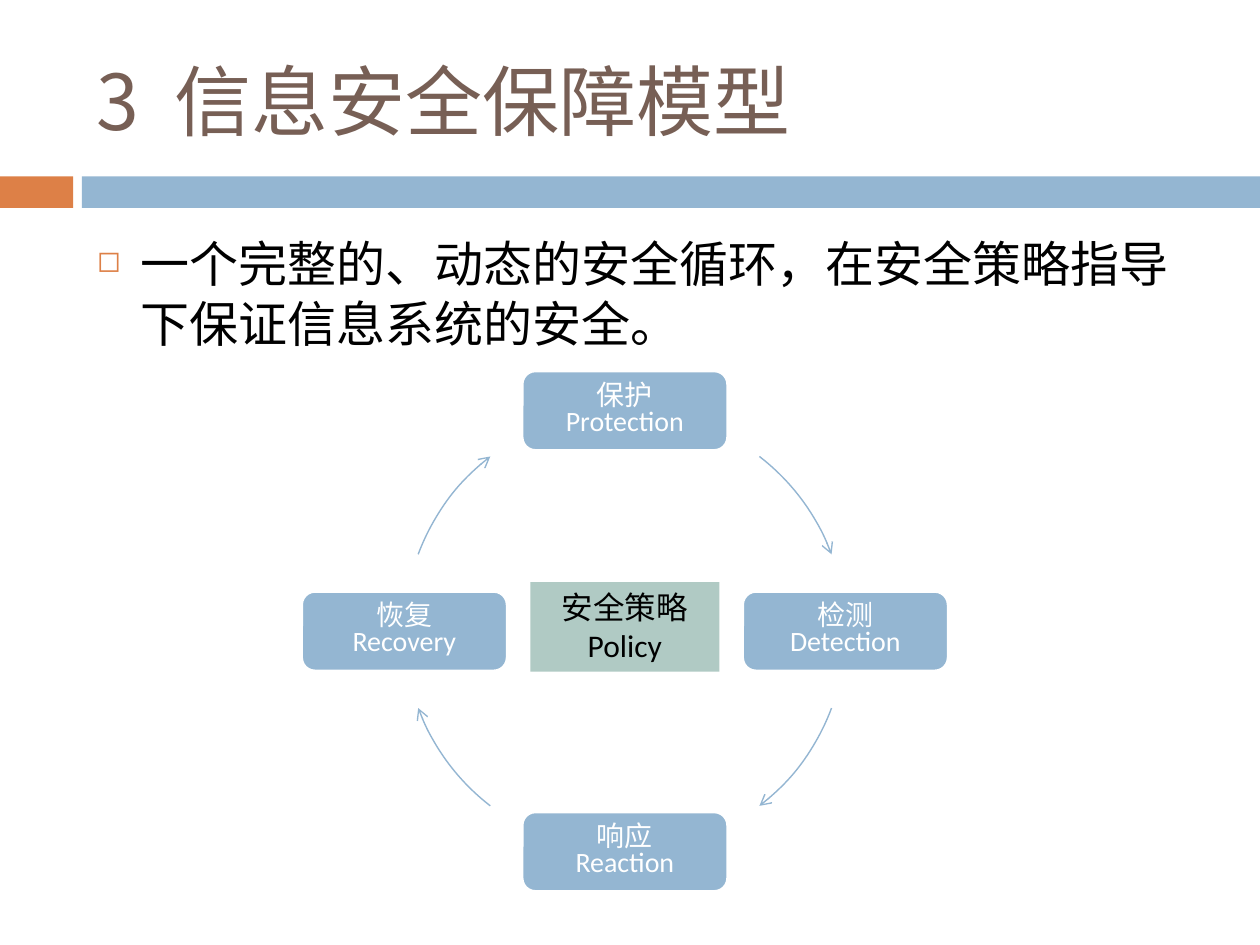
"""Builds the slide on the information security assurance cycle."""
from dataclasses import dataclass
from math import cos, radians, sin

from lxml import etree
from pptx import Presentation
from pptx.dml.color import RGBColor
from pptx.enum.shapes import MSO_SHAPE
from pptx.enum.text import MSO_ANCHOR, PP_ALIGN
from pptx.oxml.ns import qn
from pptx.util import Inches, Pt

RECT, ROUNDED, ARC = MSO_SHAPE.RECTANGLE, MSO_SHAPE.ROUNDED_RECTANGLE, MSO_SHAPE.ARC
LEFT, CENTER = PP_ALIGN.LEFT, PP_ALIGN.CENTER
TOP, MIDDLE = MSO_ANCHOR.TOP, MSO_ANCHOR.MIDDLE
COLUMNS, ROWS, UNIT = 40, 30, Inches(0.25)


@dataclass(frozen=True)
class Theme:
    orange: str = "DD8047"
    blue: str = "94B6D2"
    green: str = "B0CAC4"
    brown: str = "775F55"
    white: str = "FFFFFF"
    black: str = "000000"
    heading_font: str = "Noto Sans CJK SC"
    diagram_font: str = "Calibri"
    title_size: int = 44
    body_size: int = 28
    policy_size: int = 18
    node_size: int = 16


class SlideBuilder:
    def __init__(self, slide, theme):
        self.slide, self.theme = slide, theme

    def box(self, left, top, width, height, fill, kind=RECT, outline=None):
        area = [round(n * UNIT) for n in (left, top, width, height)]
        shape = self.slide.shapes.add_shape(kind, *area)
        shape.shadow.inherit = False
        shape.fill.solid()
        shape.fill.fore_color.rgb = RGBColor.from_string(fill)
        if outline:
            shape.line.color.rgb = RGBColor.from_string(outline)
            shape.line.width = Pt(1.5)
        else:
            shape.line.fill.background()
        return shape

    def text_box(self, left, top, width, height, anchor):
        area = [round(n * UNIT) for n in (left, top, width, height)]
        frame = self.slide.shapes.add_textbox(*area).text_frame
        frame.word_wrap = True
        frame.vertical_anchor = anchor
        return frame

    def run(self, paragraph, text, size, color, face, tracking=0):
        run = paragraph.add_run()
        run.text = text
        run.font.size = Pt(size)
        run.font.name = face
        run.font.color.rgb = RGBColor.from_string(color)
        properties = run.font._element
        etree.SubElement(properties, qn("a:ea"), typeface=face)
        if tracking:
            properties.set("spc", str(tracking * 100))

    def lines(self, frame, texts, size, color, face, align=LEFT, spacing=None):
        for index, text in enumerate(texts):
            paragraph = frame.add_paragraph() if index else frame.paragraphs[0]
            paragraph.alignment = align
            if spacing:
                paragraph.line_spacing = Pt(spacing)
            self.run(paragraph, text, size, color, face)

    def bullet(self, paragraph, symbol, color, percent, indent):
        properties = paragraph._p.get_or_add_pPr()
        properties.set("marL", str(Inches(indent)))
        properties.set("indent", str(-Inches(indent)))
        tint = etree.SubElement(properties, qn("a:buClr"))
        etree.SubElement(tint, qn("a:srgbClr"), val=color)
        etree.SubElement(properties, qn("a:buSzPct"), val=str(percent * 1000))
        etree.SubElement(properties, qn("a:buChar"), char=symbol)

    def node(self, center_x, center_y, labels):
        width, height = 6.52, 2.52
        shape = self.box(center_x - width / 2, center_y - height / 2, width, height,
                         self.theme.blue, ROUNDED, self.theme.white)
        frame = shape.text_frame
        frame.word_wrap = True
        frame.vertical_anchor = MIDDLE
        frame.margin_left = frame.margin_right = Inches(0.07)
        frame.margin_top = frame.margin_bottom = Inches(0.07)
        self.lines(frame, labels, self.theme.node_size, self.theme.white,
                   self.theme.diagram_font, CENTER, spacing=15)

    def arc_arrow(self, center_x, center_y, radius, start, end):
        area = [round(n * UNIT) for n in
                (center_x - radius, center_y - radius, 2 * radius, 2 * radius)]
        arc = self.slide.shapes.add_shape(ARC, *area)
        arc.shadow.inherit = False
        arc.fill.background()
        for index, angle in enumerate((start, end)):
            arc.adjustments[index] = angle % 360 * 0.6
        arc.line.color.rgb = RGBColor.from_string(self.theme.blue)
        arc.line.width = Pt(0.79)
        etree.SubElement(arc.line._get_or_add_ln(), qn("a:tailEnd"), type="arrow")


def main():
    theme = Theme()
    deck = Presentation()
    deck.slide_width, deck.slide_height = COLUMNS * UNIT, ROWS * UNIT
    builder = SlideBuilder(deck.slides.add_slide(deck.slide_layouts[6]), theme)

    builder.box(0, 5.6, 2.32, 1, theme.orange)
    builder.box(2.6, 5.6, COLUMNS - 2.6, 1, theme.blue)

    title = builder.text_box(2.68, 1, 35.68, 4.32, MIDDLE).paragraphs[0]
    for text, tracking in (("3", 0), (" ", 10), ("信息安全保障模型", 0)):
        builder.run(title, text, theme.title_size, theme.brown, theme.heading_font, tracking)

    body = builder.text_box(2.68, 7, 35.68, 19.68, TOP)
    body.margin_top = Inches(0.1)
    builder.lines(body, ["一个完整的、动态的安全循环，在安全策略指导下保证信息系统的安全。"],
                  theme.body_size, theme.black, theme.heading_font, spacing=34)
    builder.bullet(body.paragraphs[0], "◻", theme.orange, 60, 0.35)

    center_x, center_y, radius = 19.84, 20.04, 7
    stages = [("保护", "Protection"), ("检测", "Detection"),
              ("响应", "Reaction"), ("恢复", "Recovery")]
    arrow_spans = [(-52.4, -20.4), (20.4, 52.4)]
    for index, labels in enumerate(stages):
        angle = radians(90 * index - 90)
        builder.node(center_x + radius * cos(angle), center_y + radius * sin(angle), labels)
        half_turn = index // 2 * 180
        start, end = arrow_spans[index % 2]
        builder.arc_arrow(center_x, center_y, radius, start + half_turn, end + half_turn)

    policy = builder.box(center_x - 3, 18.48, 6, 2.84, theme.green).text_frame
    policy.word_wrap = True
    policy.vertical_anchor = TOP
    builder.lines(policy, ["安全策略", "Policy"], theme.policy_size, theme.black,
                  theme.diagram_font, CENTER)

    deck.save("out.pptx")


if __name__ == "__main__":
    main()
